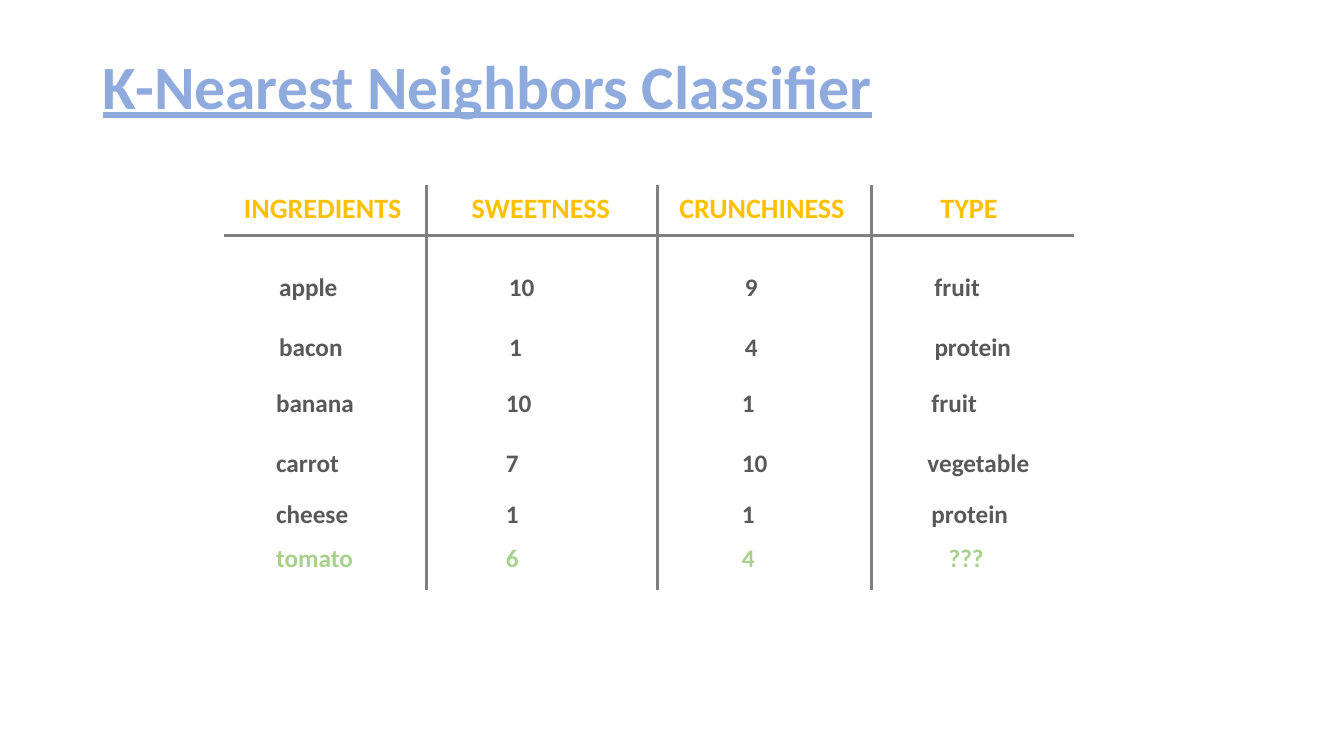
"""Build the K-Nearest Neighbors ingredient table slide."""
from dataclasses import dataclass

from lxml.etree import SubElement
from pptx import Presentation
from pptx.dml.color import RGBColor
from pptx.enum.shapes import MSO_CONNECTOR
from pptx.enum.text import MSO_ANCHOR
from pptx.oxml.ns import qn
from pptx.slide import Slide
from pptx.util import Inches, Pt

COLORS = {"title": "8FAADC", "header": "FFC000", "body": "595959",
          "query": "A9D18E", "rule": "808080"}
TAB_STOPS = (2.28, 4.62, 6.5)


@dataclass
class Label:
    text: str
    left: float
    top: float
    width: float
    height: float
    size: int
    color: str
    wrap: bool = False
    underline: bool = False
    spacing: float = 1.0
    tabs: tuple[float, ...] = ()


@dataclass
class Rule:
    x1: float
    y1: float
    x2: float
    y2: float


@dataclass
class Row:
    cells: tuple[str, ...]
    left: float
    top: float
    width: float
    color: str = "body"
    type_tab: float = TAB_STOPS[-1]


TITLE = Label("K-Nearest Neighbors Classifier", 0.92, 0.16, 11.5, 1.45, 44,
              "title", wrap=True, underline=True, spacing=0.9)
HEADERS = (("INGREDIENTS", 2.32, 1.78), ("SWEETNESS", 4.58, 1.58),
           ("CRUNCHINESS", 6.64, 1.86), ("TYPE", 9.23, 0.77))
RULES = (Rule(2.22, 2.34, 10.65, 2.34),
         *(Rule(x, 1.84, x, 5.85) for x in (4.23, 6.52, 8.64)))
ROWS = (
    Row(("apple", "10", "9", "fruit"), 2.67, 2.64, 7.34),
    Row(("bacon", "1", "4", "protein"), 2.67, 3.24, 7.75),
    Row(("banana", "10", "1", "fruit"), 2.64, 3.79, 7.34),
    Row(("carrot", "7", "10", "vegetable"), 2.64, 4.39, 7.71, type_tab=6.46),
    Row(("cheese", "1", "1", "protein"), 2.64, 4.89, 7.75),
    Row(("tomato", "6", "4", "???"), 2.64, 5.33, 7.32, "query", 6.67),
)


def add_label(s: Slide, label: Label) -> None:
    box = (label.left, label.top, label.width, label.height)
    tf = s.shapes.add_textbox(*map(Inches, box)).text_frame
    tf.word_wrap = label.wrap
    tf.vertical_anchor = MSO_ANCHOR.MIDDLE if label is TITLE else MSO_ANCHOR.TOP
    p = tf.paragraphs[0]
    p.line_spacing = label.spacing
    if label.tabs:
        tab_list = SubElement(p._p.get_or_add_pPr(), qn("a:tabLst"))
        for stop in label.tabs:
            SubElement(tab_list, qn("a:tab"), pos=str(Inches(stop)), algn="l")
    r = p.add_run()
    r.text = label.text
    font_format = {"name": "Calibri", "size": Pt(label.size), "bold": True,
                   "underline": label.underline}
    for name, value in font_format.items():
        setattr(r.font, name, value)
    r.font.color.rgb = RGBColor.from_string(COLORS[label.color])


def add_rule(s: Slide, rule: Rule) -> None:
    ends = (rule.x1, rule.y1, rule.x2, rule.y2)
    sp = s.shapes.add_connector(MSO_CONNECTOR.STRAIGHT, *map(Inches, ends))
    sp.line.width = Pt(2.25)
    sp.line.color.rgb = RGBColor.from_string(COLORS["rule"])
    SubElement(sp._element.spPr, qn("a:effectLst"))


def add_row(s: Slide, row: Row) -> None:
    tabs = (*TAB_STOPS[:-1], row.type_tab)
    add_label(s, Label("\t".join(row.cells), row.left, row.top, row.width, 0.4,
                       18, row.color, wrap=True, tabs=tabs))


def main() -> None:
    prs = Presentation()
    prs.slide_width, prs.slide_height = Inches(13.33), Inches(7.5)
    s = prs.slides.add_slide(prs.slide_layouts[6])
    add_label(s, TITLE)
    for rule in RULES:
        add_rule(s, rule)
    for text, left, width in HEADERS:
        add_label(s, Label(text, left, 1.84, width, 0.44, 20, "header"))
    for row in ROWS:
        add_row(s, row)
    prs.save("out.pptx")


if __name__ == "__main__":
    main()
